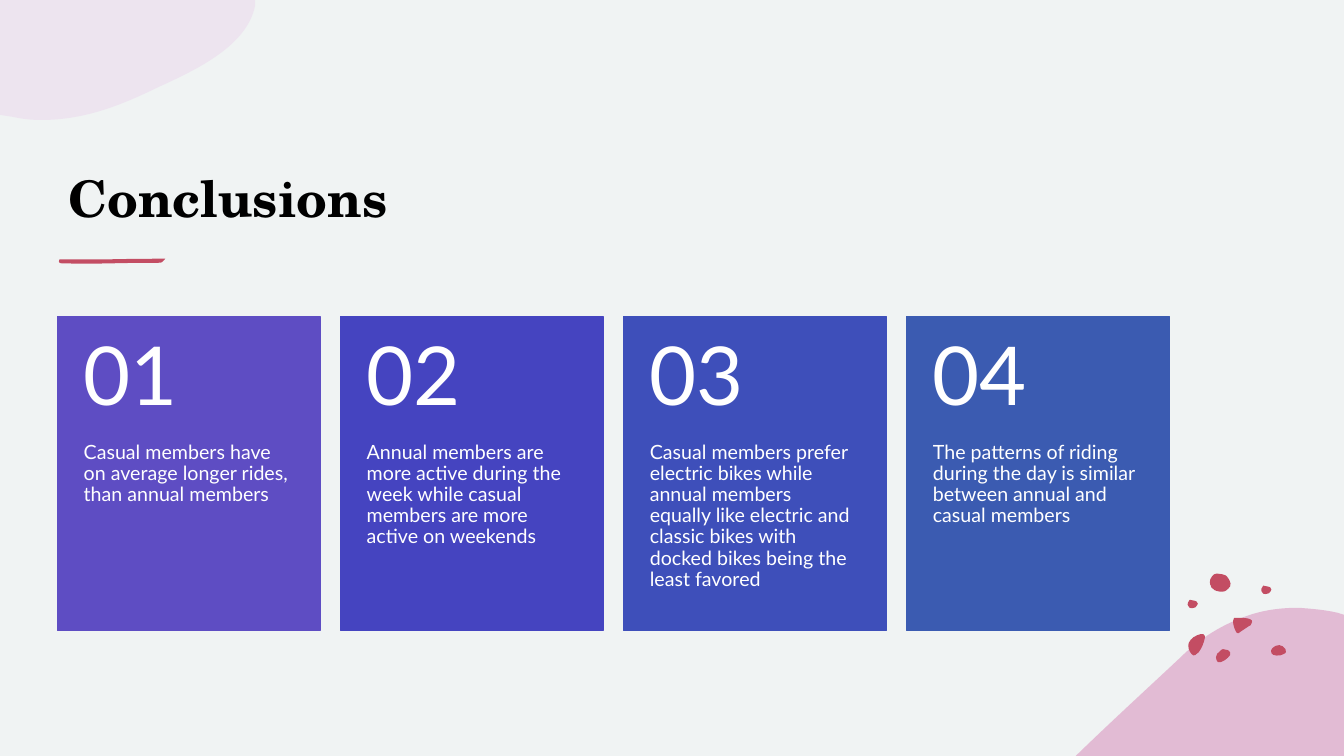
from dataclasses import dataclass

from lxml import etree
from pptx import Presentation
from pptx import util as u
from pptx.dml.color import RGBColor
from pptx.enum import shapes, text
from pptx.oxml.ns import qn

# The slide is a grid of 1333 columns by 750 rows, each cell 0.01 inch.
COLUMNS, ROWS = 1333, 750
CELL = u.Inches(0.01)

COLORS = {
    "background": "F0F3F3",
    "title": "000000",
    "white": "FFFFFF",
    "accent": "C34D63",
    "top_blob": "E6B8E7",
    "bottom_blob": "D684B6",
    "card_1": "5E4DC3",
    "card_2": "4544C0",
    "card_3": "3E4FBA",
    "card_4": "3B5BB1",
}

CARD_LEFT, CARD_TOP, CARD_WIDTH, CARD_PITCH = 57, 313.75, 260.5, 280.75
NUMBER_HEIGHT, BODY_HEIGHT = 125, 187


@dataclass
class Outline:
    """Closed outline: pairs are corners, sextuples are cubic curves."""
    start: tuple[float, float]
    segments: list[tuple[float, ...]]
    color: str = "accent"
    opacity: int = 100
    shift: tuple[float, float] = (0, 0)


@dataclass
class Card:
    number: str
    body: str
    color: str


TOP_BLOB = Outline((0, 0), [
    (253, 0), (253, 6), (245, 44, 200, 67, 158, 86), (123, 103, 86, 119, 41, 119),
    (31, 119, 22, 118, 13, 116), (0, 114)], "top_blob", 25)

BOTTOM_BLOB = Outline((1288, 603), [
    (1301, 604, 1314, 605, 1327, 608), (1333, 610), (1333, 750), (1067, 750),
    (1068, 749), (1102, 716, 1137, 684, 1169, 654),
    (1191, 632, 1214, 619, 1237, 611), (1254, 605, 1271, 603, 1288, 603)],
    "bottom_blob", 50)

UNDERLINE = Outline((59, 257.3), [
    (75, 257.3), (111, 257.2), (133, 256.8), (164, 256.6),
    (161, 258, 163, 261, 157, 260.7), (133, 260.8), (107, 261.3), (90, 261.6),
    (79, 261.6), (61, 261.2), (58, 261.5, 58, 258, 59, 257.3)])

PEBBLE_START = (1251, 586)
PEBBLE = [
    (1251, 586, 1251, 582, 1253, 581), (1255, 581, 1256, 581, 1258, 582),
    (1259, 582, 1261, 583, 1261, 585), (1261, 586, 1260, 587, 1259, 588),
    (1259, 588, 1259, 589, 1257, 589), (1256, 589, 1254, 590, 1253, 589),
    (1252, 587, 1251, 587, 1251, 586)]

SPOTS = [
    Outline((1213, 644), [
        (1215, 644, 1216, 644, 1218, 645), (1220, 646, 1221, 648, 1220, 650),
        (1218, 653, 1212, 658, 1208, 657), (1207, 656, 1206, 654, 1206, 652),
        (1206, 650, 1208, 647, 1210, 646), (1211, 645, 1212, 644, 1213, 644)]),
    Outline((1191, 629), [
        (1193, 629, 1195, 629, 1195, 631), (1195, 632, 1195, 632, 1195, 633),
        (1194, 638, 1192, 643, 1189, 647), (1187, 649, 1184, 652, 1182, 649),
        (1179, 646, 1178, 641, 1179, 638), (1180, 635, 1182, 634, 1184, 632),
        (1185, 632, 1188, 629, 1191, 629)]),
    Outline((1269, 640), [
        (1271, 640, 1274, 642, 1275, 644), (1276, 646, 1276, 648, 1273, 649),
        (1270, 651, 1262, 651, 1261, 648), (1260, 646, 1261, 644, 1262, 643),
        (1264, 641, 1266, 640, 1269, 640)]),
    Outline((1201, 581), [
        (1200, 581, 1199, 575, 1202, 572), (1204, 570, 1204, 569, 1207, 569),
        (1210, 569, 1214, 570, 1216, 571), (1218, 573, 1222, 578, 1220, 582),
        (1217, 585, 1216, 587, 1212, 587), (1209, 587, 1204, 586, 1203, 584),
        (1201, 583, 1201, 582, 1201, 581)]),
    Outline(PEBBLE_START, PEBBLE),
    Outline(PEBBLE_START, PEBBLE, shift=(-73, 14)),
    Outline((1228, 613), [
        (1234, 613, 1245, 613, 1241, 619), (1241, 620, 1240, 621, 1239, 621),
        (1236, 623, 1233, 625, 1230, 627), (1229, 628, 1228, 629, 1227, 628),
        (1227, 628, 1226, 627, 1226, 627), (1224, 623, 1223, 620, 1223, 616),
        (1223, 615, 1223, 614, 1224, 613), (1225, 613, 1226, 613, 1228, 613)]),
]

CARDS = [
    Card("01", "Casual members have on average longer rides, than annual members",
         "card_1"),
    Card("02", "Annual members are more active during the week while casual members "
         "are more active on weekends", "card_2"),
    Card("03", "Casual members prefer electric bikes while annual members equally "
         "like electric and classic bikes with docked bikes being the least favored",
         "card_3"),
    Card("04", "The patterns of riding during the day is similar between annual and "
         "casual members", "card_4"),
]


def cells(*counts: float) -> list[u.Emu]:
    return [u.Emu(round(count * CELL)) for count in counts]


def rgb(name: str) -> RGBColor:
    return RGBColor.from_string(COLORS[name])


def bend_curves(shape, segments: list[tuple[float, ...]]) -> None:
    """Join the three line steps of every sextuple into one cubic curve."""
    steps = iter(list(shape.element.iter(qn("a:lnTo"))))
    for segment in segments:
        first = next(steps)
        if len(segment) == 6:
            curve = etree.Element(qn("a:cubicBezTo"))
            first.addprevious(curve)
            for step in (first, next(steps), next(steps)):
                curve.append(step[0])
                step.getparent().remove(step)


def draw_outline(slide, outline: Outline) -> None:
    dx, dy = outline.shift
    points = [cells(x + dx, y + dy)
              for segment in [outline.start, *outline.segments]
              for x, y in zip(segment[::2], segment[1::2])]
    builder = slide.shapes.build_freeform(*points[0], scale=1.0)
    builder.add_line_segments(points[1:], close=True)
    shape = builder.convert_to_shape()
    bend_curves(shape, outline.segments)
    shape.shadow.inherit = False
    shape.line.fill.background()
    shape.fill.solid()
    shape.fill.fore_color.rgb = rgb(outline.color)
    if outline.opacity < 100:
        color = shape.element.spPr.find(qn("a:solidFill")).find(qn("a:srgbClr"))
        etree.SubElement(color, qn("a:alpha"), val=str(outline.opacity * 1000))


def format_runs(paragraph, font_name: str, size: int, color: str, bold: bool) -> None:
    paragraph.alignment = text.PP_ALIGN.LEFT
    for run in paragraph.runs:
        run.font.name = font_name
        run.font.size = u.Pt(size)
        run.font.bold = bold
        run.font.color.rgb = rgb(color)


def draw_card_text(slide, words: str, box: tuple[float, ...], size: int,
                   top_inset: float, bottom_inset: float, anchor) -> None:
    frame = slide.shapes.add_textbox(*cells(*box)).text_frame
    frame.word_wrap = True
    frame.vertical_anchor = anchor
    frame.margin_left, frame.margin_top, frame.margin_right, frame.margin_bottom = cells(
        26, top_inset, 29, bottom_inset)
    frame.text = words
    paragraph = frame.paragraphs[0]
    paragraph.line_spacing = 0.9
    format_runs(paragraph, "Lato", size, "white", False)


def draw_card(slide, index: int, card: Card) -> None:
    left = CARD_LEFT + index * CARD_PITCH
    panel = slide.shapes.add_shape(
        shapes.MSO_SHAPE.RECTANGLE,
        *cells(left, CARD_TOP, CARD_WIDTH, NUMBER_HEIGHT + BODY_HEIGHT))
    panel.shadow.inherit = False
    panel.fill.solid()
    panel.fill.fore_color.rgb = panel.line.color.rgb = rgb(card.color)
    panel.line.width = u.Pt(1)
    draw_card_text(slide, card.body,
                   (left, CARD_TOP + NUMBER_HEIGHT, CARD_WIDTH, BODY_HEIGHT),
                   14, 0, 36, text.MSO_ANCHOR.TOP)
    draw_card_text(slide, card.number, (left, CARD_TOP, CARD_WIDTH, NUMBER_HEIGHT),
                   58, 18, 18, text.MSO_ANCHOR.MIDDLE)


def set_title(slide, words: str) -> None:
    title = slide.shapes.title
    title.left, title.top, title.width, title.height = cells(57.5, 86, 1102, 145)
    title.text_frame.text = words
    title.text_frame.vertical_anchor = text.MSO_ANCHOR.BOTTOM
    format_runs(title.text_frame.paragraphs[0], "TeX Gyre Schola", 36, "title", True)


def main() -> None:
    presentation = Presentation()
    presentation.slide_width, presentation.slide_height = cells(COLUMNS, ROWS)
    slide = presentation.slides.add_slide(presentation.slide_layouts[5])
    slide.background.fill.solid()
    slide.background.fill.fore_color.rgb = rgb("background")
    set_title(slide, "Conclusions")
    for outline in [TOP_BLOB, UNDERLINE, BOTTOM_BLOB, *SPOTS]:
        draw_outline(slide, outline)
    for index, card in enumerate(CARDS):
        draw_card(slide, index, card)
    presentation.save("out.pptx")


if __name__ == "__main__":
    main()
